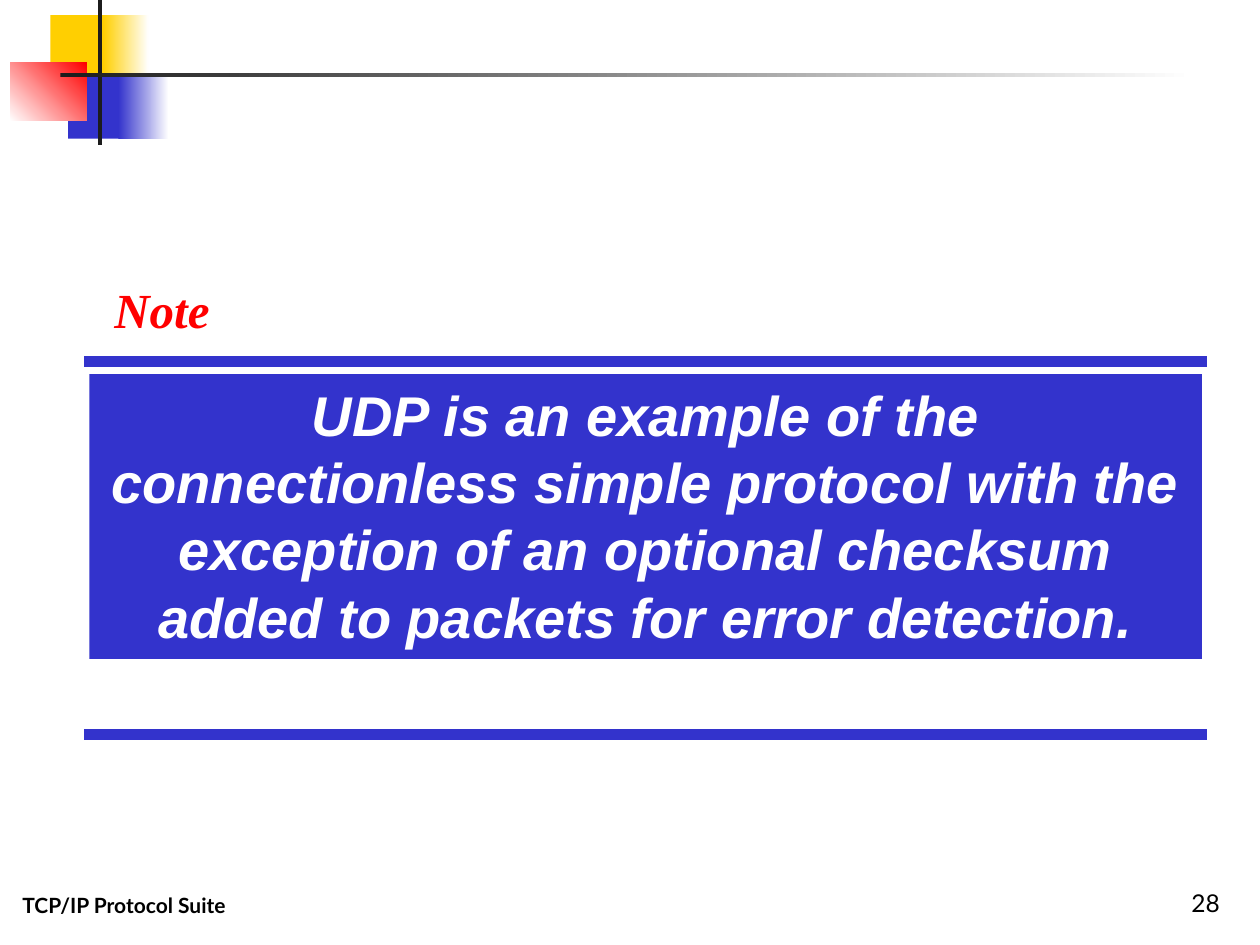
from lxml import etree
from pptx import Presentation
from pptx.dml.color import RGBColor
from pptx.enum.shapes import MSO_CONNECTOR, MSO_SHAPE
from pptx.enum.text import MSO_ANCHOR, MSO_AUTO_SIZE, PP_ALIGN
from pptx.oxml.ns import qn
from pptx.util import Inches, Pt

COLORS = {
    "gold": "FFCF01", "blue": "3333CC", "red": "FF0000",
    "dark": "1C1C1C", "white": "FFFFFF", "black": "000000",
}
BLOCKS = [
    ((0.4, 0.12, 0.48, 0.52), ["gold"], 0),
    ((0.82, 0.12, 0.36, 0.52), ["gold", "white"], 0),
    ((0.54, 0.58, 0.46, 0.52), ["blue"], 0),
    ((0.94, 0.58, 0.4, 0.52), ["blue", "white"], 0),
    ((0.08, 0.5, 0.61, 0.46), ["white", "red"], 45),
    ((0.78, 0, 0.03, 1.15), ["dark"], 0),
    ((0.48, 0.58, 9, 0.03), ["dark", "white"], 0),
]
RULES = [2.87, 5.83]
LEFT, RIGHT = 0.67, 9.58
PANEL = (0.71, 2.97, 8.83, 2.26)
MESSAGE = (
    "UDP is an example of the connectionless simple protocol with the "
    "exception of an optional checksum added to packets for error detection."
)
LABELS = [
    ((0.08, 6.83, 3.17, 0.5), "TCP/IP Protocol Suite", MSO_ANCHOR.BOTTOM,
     ("Lato", 12, "black", PP_ALIGN.LEFT, True, False)),
    ((7.7, 6.83, 2.08, 0.5), "28", MSO_ANCHOR.BOTTOM,
     ("Lato", 14, "black", PP_ALIGN.RIGHT, False, False)),
    ((0.81, 2.17, 0.96, 0.57), "Note", MSO_ANCHOR.TOP,
     ("Times New Roman", 28, "red", PP_ALIGN.LEFT, True, True)),
]


def color(name):
    return RGBColor.from_string(COLORS[name])


def write(shape, text, anchor, style):
    face, size, ink, align, bold, slant = style
    frame = shape.text_frame
    frame.word_wrap = True
    frame.auto_size = MSO_AUTO_SIZE.NONE
    frame.vertical_anchor = anchor
    frame.text = text
    para = frame.paragraphs[0]
    para.alignment = align
    font = para.font
    font.name, font.size = face, Pt(size)
    font.bold, font.italic = bold, slant
    font.color.rgb = color(ink)


def block(slide, box, tones, angle=0):
    shape = slide.shapes.add_shape(MSO_SHAPE.RECTANGLE, *map(Inches, box))
    shape.shadow.inherit = False
    shape.line.fill.background()
    if len(tones) == 1:
        shape.fill.solid()
        shape.fill.fore_color.rgb = color(tones[0])
    else:
        shape.fill.gradient()
        shape.fill.gradient_angle = angle
        for stop, tone in zip(shape.fill.gradient_stops, tones):
            stop.color.rgb = color(tone)
    return shape


def rule(slide, y):
    line = slide.shapes.add_connector(
        MSO_CONNECTOR.STRAIGHT, *map(Inches, (LEFT, y, RIGHT, y)))
    line.line.color.rgb = color("blue")
    line.line.width = Pt(6)
    etree.SubElement(line._element.spPr, qn("a:effectLst"))


def main():
    deck = Presentation()
    deck.slide_width, deck.slide_height = Inches(10), Inches(7.5)
    slide = deck.slides.add_slide(deck.slide_layouts[6])
    for box, tones, angle in BLOCKS:
        block(slide, box, tones, angle)
    for y in RULES:
        rule(slide, y)
    panel = block(slide, PANEL, ["blue"])
    write(panel, MESSAGE, MSO_ANCHOR.TOP,
          ("Arial", 32, "white", PP_ALIGN.CENTER, True, True))
    for box, text, anchor, style in LABELS:
        label = slide.shapes.add_textbox(*map(Inches, box))
        write(label, text, anchor, style)
    deck.save("out.pptx")


if __name__ == "__main__":
    main()
